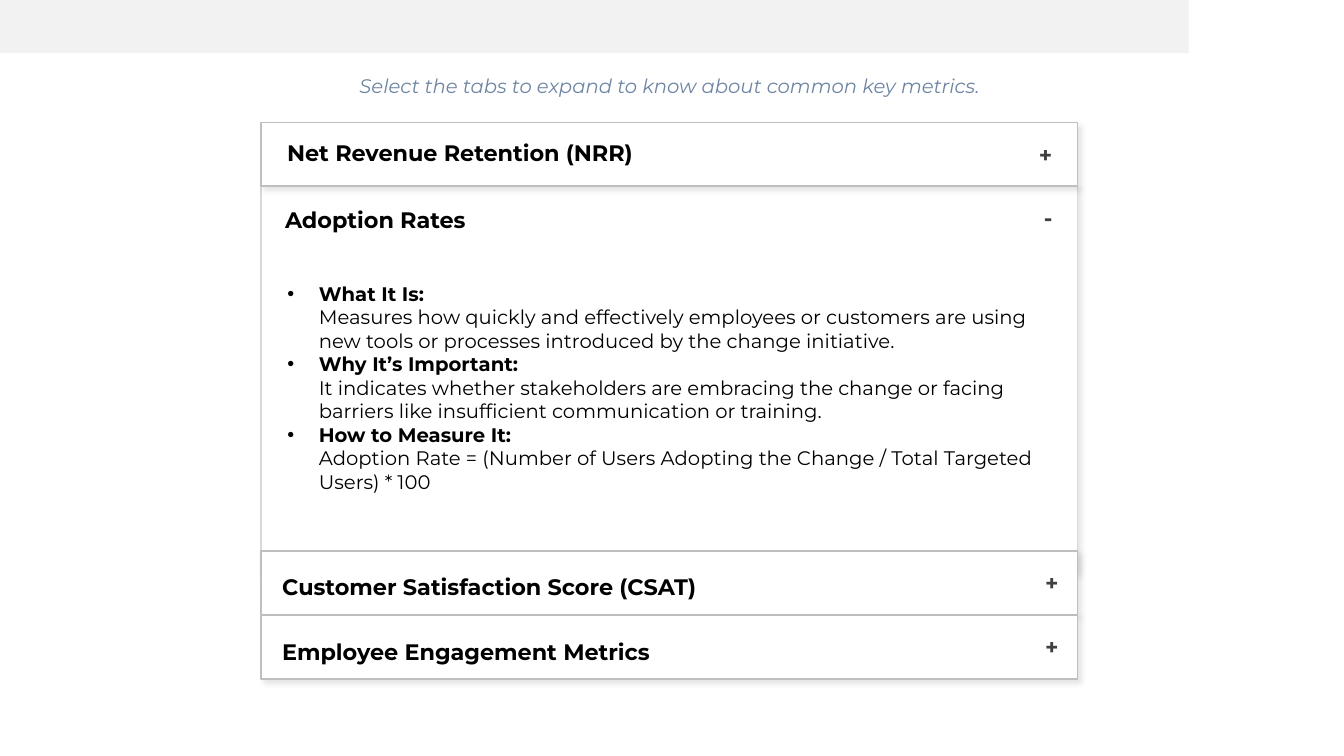
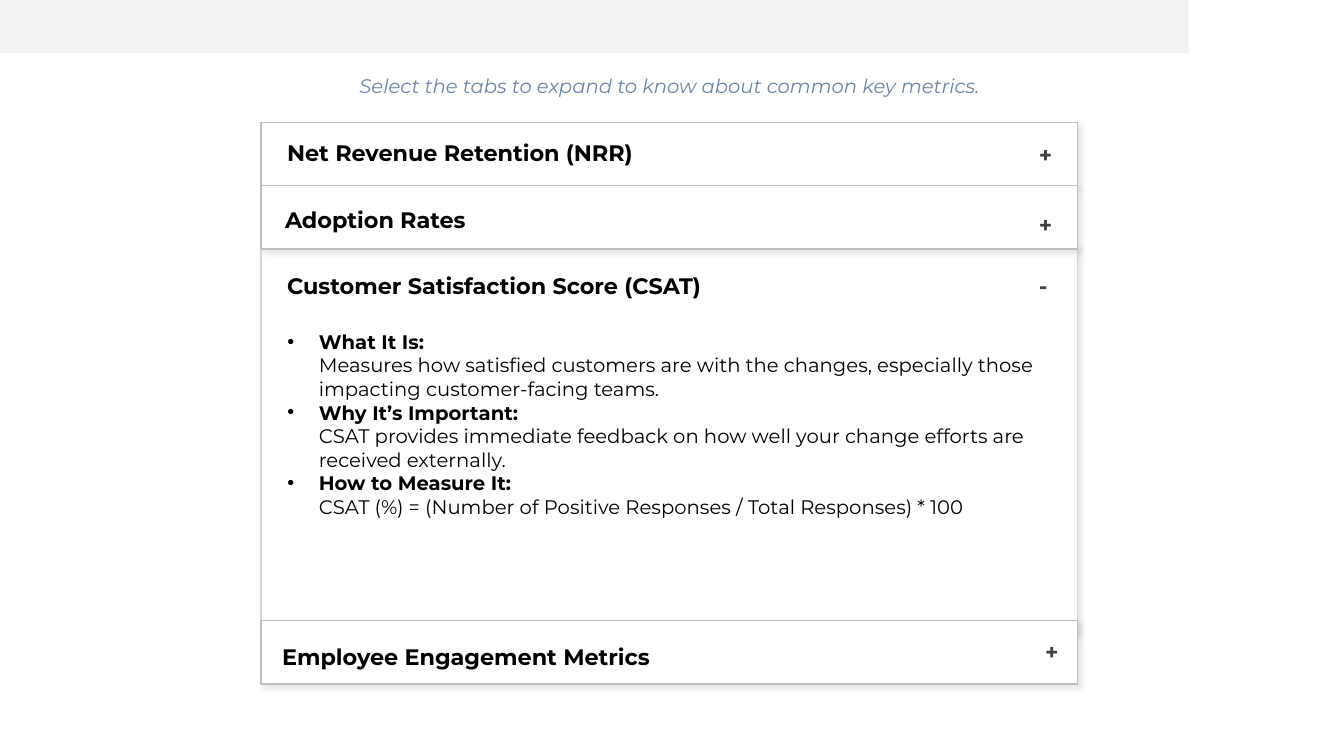
from copy import deepcopy

from lxml import etree
from pptx import Presentation
from pptx.dml.color import RGBColor
from pptx.enum import shapes, text
from pptx.oxml import ns
from pptx.util import Pt

PROMPT = "Select the tabs to expand to know about common key metrics."
HEADS = ("What It Is:", "Why It’s Important:", "How to Measure It:")
BOX_LEFT, BOX_WIDTH, TAB_HEIGHT, PANEL_HEIGHT = 186.5, 583, 45.5, 276.5


def rgb(value):
    return RGBColor.from_string(value)


def child(parent, tag, **attrs):
    return etree.SubElement(parent, ns.qn(tag), {k: str(v) for k, v in attrs.items()})


class Deck:
    FONT = "Montserrat"
    WHITE, BAND, PANEL_LINE, TAB_LINE = "FFFFFF", "F2F2F2", "D9D9D9", "BFBFBF"
    BLACK, SIGN, PROMPT = "000000", "404040", "6E85A3"

    def __init__(self):
        self.prs = Presentation()
        self.prs.slide_width, self.prs.slide_height = Pt(960), Pt(540)
        self.s = None

    def slide(self):
        self.s = self.prs.slides.add_slide(self.prs.slide_layouts[1])

    def rect(self, x, y, w, h, fill):
        sp = self.s.shapes.add_shape(shapes.MSO_SHAPE.RECTANGLE, Pt(x), Pt(y), Pt(w), Pt(h))
        sp.shadow.inherit = False
        sp.fill.solid()
        sp.fill.fore_color.rgb = rgb(fill)
        sp.line.fill.background()
        return sp

    def band(self):
        """Add the top band to the master, so that every slide shows it."""
        sp = self.rect(0, 0, 849, 38, self.BAND)
        tree = self.prs.slide_master.placeholders[0].element.getparent()
        tree.insert(2, sp.element)

    def box(self, y, h, line):
        """Add an outlined accordion box with a soft shadow."""
        sp = self.rect(BOX_LEFT, y, BOX_WIDTH, h, self.WHITE)
        sp.line.color.rgb = rgb(line)
        sp.line.width = Pt(1)
        effects = sp.element.spPr.find(ns.qn("a:effectLst"))
        shadow = child(effects, "a:outerShdw", blurRad=Pt(4), dist=Pt(3),
                       dir=45 * 60000, algn="tl", rotWithShape=0)
        color = child(shadow, "a:srgbClr", val=self.BLACK)
        child(color, "a:alpha", val=10000)

    def place(self, sp, x, y, w, h):
        sp.left, sp.top, sp.width, sp.height = Pt(x), Pt(y), Pt(w), Pt(h)
        tf = sp.text_frame
        tf.word_wrap = True
        tf.vertical_anchor = text.MSO_ANCHOR.TOP
        tf.auto_size = text.MSO_AUTO_SIZE.SHAPE_TO_FIT_TEXT
        return tf

    def style(self, r, size, color, bold=False, italic=False):
        r.font.name, r.font.size = self.FONT, Pt(size)
        r.font.bold, r.font.italic = bold, italic
        r.font.color.rgb = rgb(color)

    def title(self, words):
        tf = self.place(self.s.shapes.title, -1.5, 49.5, 960, 24.5)
        tf.text = words
        p = tf.paragraphs[0]
        p.alignment = text.PP_ALIGN.CENTER
        self.style(p.runs[0], 14, self.PROMPT, italic=True)

    def label(self, words, x, y, w, color):
        sp = self.s.shapes.add_textbox(Pt(x), Pt(y), Pt(w), Pt(26.5))
        tf = self.place(sp, x, y, w, 26.5)
        tf.text = words
        self.style(tf.paragraphs[0].runs[0], 16, color, bold=True)

    def details(self, y, h, answers):
        """Fill the body with bold heads, each over its answer."""
        sp = self.s.placeholders[1]
        sp.element.getparent().append(sp.element)  # in front of the panel
        tf = self.place(sp, 198, y, 564.5, h)
        for i, (head, answer) in enumerate(zip(HEADS, answers)):
            p = tf.add_paragraph() if i else tf.paragraphs[0]
            p.text = f"{head}\v{answer}"
            pPr = p._p.get_or_add_pPr()
            pPr.set("marL", str(Pt(22.5)))
            pPr.set("indent", str(-Pt(22.5)))
            child(pPr, "a:buChar", char="•")
            p.space_before = Pt(0)
            for r, bold in zip(p.runs, (True, False)):
                self.style(r, 14, self.BLACK, bold=bold)
            # The line break takes the size of the head
            p._p.find(ns.qn("a:br")).append(deepcopy(p.runs[0]._r.rPr))

    def accordion(self, tabs, panel_top, details_top, details_height, answers):
        """Draw the open panel, the closed tabs, then all text."""
        self.box(panel_top, PANEL_HEIGHT, self.PANEL_LINE)
        for _, top, *_ in tabs:
            if top is not None:
                self.box(top, TAB_HEIGHT, self.TAB_LINE)
        self.details(details_top, details_height, answers)
        for name, top, label_at, sign_at in tabs:
            self.label(name, *label_at, 533, self.BLACK)
            self.label("-" if top is None else "+", *sign_at, 31, self.SIGN)


# Tabs: name, box top (None when open), label position, sign position
NRR = ("Net Revenue Retention (NRR)", 87.5, (198, 95.5), (735, 97))
ADOPTION, CSAT, ENGAGEMENT = (
    "Adoption Rates", "Customer Satisfaction Score (CSAT)", "Employee Engagement Metrics")

SLIDES = [
    dict(
        tabs=[NRR,
              (ADOPTION, None, (196.5, 144), (738.5, 142.5)),
              (CSAT, 393.5, (194.5, 405.5), (739.5, 403)),
              (ENGAGEMENT, 439.5, (194.5, 452.5), (739.5, 449))],
        panel_top=132.5, details_top=197.5, details_height=160,
        answers=[
            "Measures how quickly and effectively employees or customers are using "
            "new tools or processes introduced by the change initiative.",
            "It indicates whether stakeholders are embracing the change or facing "
            "barriers like insufficient communication or training.",
            "Adoption Rate = (Number of Users Adopting the Change / Total Targeted "
            "Users) * 100"]),
    dict(
        tabs=[NRR,
              (ADOPTION, 132.5, (196.5, 144), (735, 147)),
              (CSAT, None, (198, 191), (735, 191)),
              (ENGAGEMENT, 443, (194.5, 456), (739.5, 452))],
        panel_top=175.5, details_top=232, details_height=143.5,
        answers=[
            "Measures how satisfied customers are with the changes, especially those "
            "impacting customer-facing teams.",
            "CSAT provides immediate feedback on how well your change efforts are "
            "received externally.",
            "CSAT (%) = (Number of Positive Responses / Total Responses) * 100"]),
]


def main():
    deck = Deck()
    for content in SLIDES:
        deck.slide()
        deck.title(PROMPT)
        deck.accordion(**content)
    deck.band()
    deck.prs.save("out.pptx")


if __name__ == "__main__":
    main()
